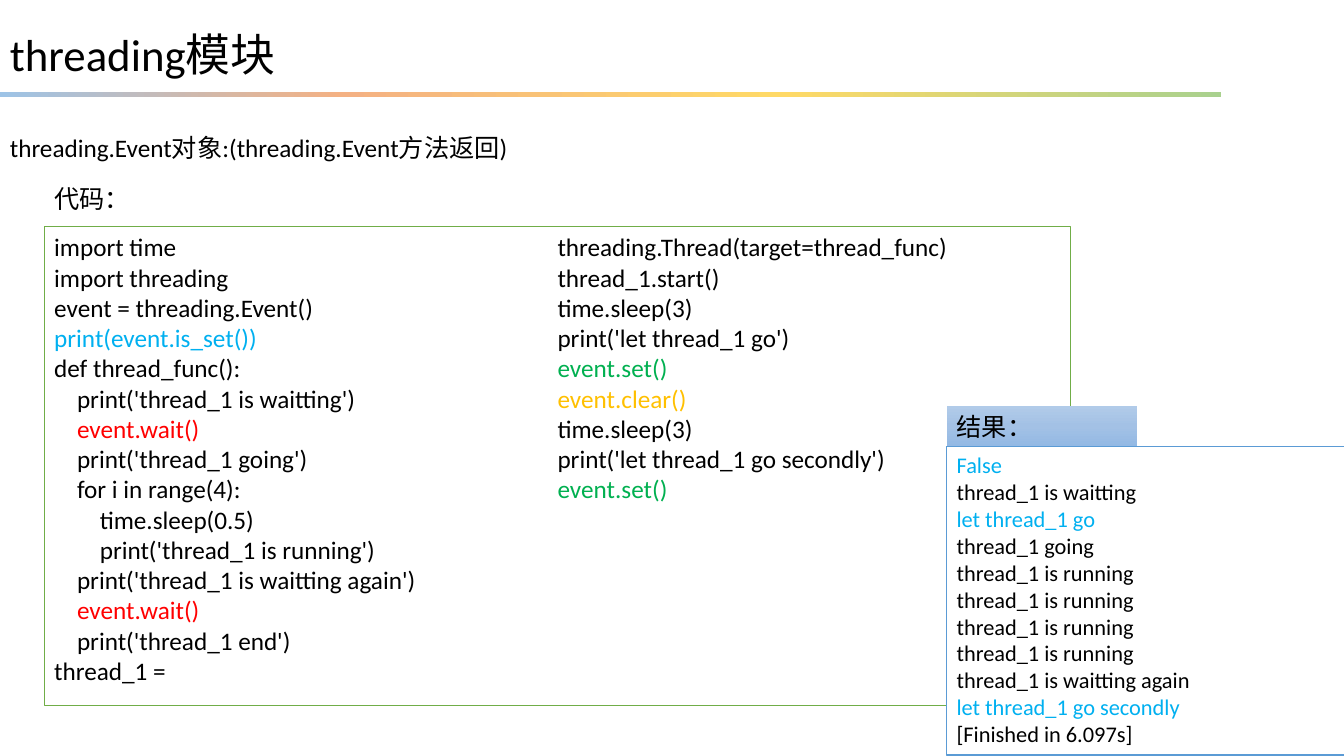
from pptx import Presentation
from pptx.dml.color import RGBColor
from pptx.enum.shapes import MSO_SHAPE
from pptx.enum.text import MSO_ANCHOR, PP_ALIGN
from pptx.oxml.ns import qn
from pptx.util import Inches, Pt
from lxml.etree import SubElement

COLORS = {
    "black": "000000", "white": "FFFFFF", "cyan": "00B0F0", "red": "FF0000",
    "green": "00B050", "gold": "FFC000", "code_line": "70AD47", "result_line": "5B9BD5",
    "bar_blue": "9DC3E6", "bar_orange": "F4B183", "bar_yellow": "FFD966", "bar_green": "A9D18E",
    "tab_top": "B1CBE9", "tab_mid": "A3C1E5", "tab_end": "93B9E4",
}
LATIN, CJK = "Calibri", "Noto Sans CJK SC"
WIDTH, HEIGHT = Inches(13.33), Inches(7.5)
LABEL_W, LABEL_H = 14.18, 5.33
LEVEL_INDENT = Inches(0.226)

BAR_STOPS = [(0, "bar_blue"), (28, "bar_orange"), (64, "bar_yellow"), (100, "bar_green")]
TAB_STOPS = [(0, "tab_top"), (50, "tab_mid"), (100, "tab_end")]

CODE = [
    (0, "import time", "black"),
    (0, "import threading", "black"),
    (0, "event = threading.Event()", "black"),
    (0, "print(event.is_set())", "cyan"),
    (0, "def thread_func():", "black"),
    (1, "print('thread_1 is waitting')", "black"),
    (1, "event.wait()", "red"),
    (1, "print('thread_1 going')", "black"),
    (1, "for i in range(4):", "black"),
    (2, "time.sleep(0.5)", "black"),
    (2, "print('thread_1 is running')", "black"),
    (1, "print('thread_1 is waitting again')", "black"),
    (1, "event.wait()", "red"),
    (1, "print('thread_1 end')", "black"),
    (0, "thread_1 = threading.Thread(target=thread_func)", "black"),
    (0, "thread_1.start()", "black"),
    (0, "time.sleep(3)", "black"),
    (0, "print('let thread_1 go')", "black"),
    (0, "event.set()", "green"),
    (0, "event.clear()", "gold"),
    (0, "time.sleep(3)", "black"),
    (0, "print('let thread_1 go secondly')", "black"),
    (0, "event.set()", "green"),
]
RESULT = [
    (0, "False", "cyan"),
    (0, "thread_1 is waitting", "black"),
    (0, "let thread_1 go", "cyan"),
    (0, "thread_1 going", "black"),
    *[(0, "thread_1 is running", "black")] * 4,
    (0, "thread_1 is waitting again", "black"),
    (0, "let thread_1 go secondly", "cyan"),
    (0, "[Finished in 6.097s]", "black"),
]


def rgb(name):
    """Return a named colour."""
    return RGBColor.from_string(COLORS[name])


def place(box):
    """Turn percentages of the slide into lengths."""
    left, top, width, height = box
    return [int(share * side / 100) for share, side in
            ((left, WIDTH), (top, HEIGHT), (width, WIDTH), (height, HEIGHT))]


def add_rect(s, box, fill=None, line=None):
    """Add a flat rectangle."""
    sp = s.shapes.add_shape(MSO_SHAPE.RECTANGLE, *place(box))
    sp.shadow.inherit = False
    if fill:
        sp.fill.solid()
        sp.fill.fore_color.rgb = rgb(fill)
    if line:
        sp.line.color.rgb = rgb(line)
        sp.line.width = Pt(1)
    else:
        sp.line.fill.background()
    return sp


def set_gradient(sp, stops, angle):
    """Fill a shape with a linear gradient, angle in clockwise degrees."""
    sp.fill.gradient()
    grad = sp.element.spPr.find(qn("a:gradFill"))
    grad.find(qn("a:lin")).set("ang", str(angle * 60000))
    gs_lst = grad.find(qn("a:gsLst"))
    for gs in list(gs_lst):
        gs_lst.remove(gs)
    for pos, name in stops:
        gs = SubElement(gs_lst, qn("a:gs"), pos=str(pos * 1000))
        SubElement(gs, qn("a:srgbClr"), val=COLORS[name])


def write(sp, lines, size, font=LATIN, columns=1):
    """Write (level, text, colour) lines into a shape."""
    tf = sp.text_frame
    tf.word_wrap = True
    tf.vertical_anchor = MSO_ANCHOR.TOP
    body = tf._txBody.bodyPr
    if columns > 1:
        body.set("numCol", str(columns))
    for i, (level, text, color) in enumerate(lines):
        p = tf.paragraphs[0] if i == 0 else tf.add_paragraph()
        p.alignment = PP_ALIGN.LEFT
        if level:
            p._p.get_or_add_pPr().set("marL", str(level * LEVEL_INDENT))
        r = p.add_run()
        r.text = text
        r.font.size = Pt(size)
        r.font.name = font
        r.font.color.rgb = rgb(color)
        SubElement(r._r.get_or_add_rPr(), qn("a:ea"), typeface=CJK)


def add_text(s, box, text, size, font=LATIN):
    """Add a one-line text box."""
    sp = s.shapes.add_textbox(*place(box))
    write(sp, [(0, text, "black")], size, font)


def add_header(s, box):
    """Add the title, the gradient bar and the subtitle."""
    left, top, width, height = box
    bar = add_rect(s, (left, top + 9.2, width, 0.67))
    set_gradient(bar, BAR_STOPS, 0)
    add_text(s, (left, top, width / 2, 8.53), "threading模块", 32)
    add_text(s, (left, top + height - LABEL_H, width / 2, LABEL_H),
             "threading.Event对象:(threading.Event方法返回)", 18)


def add_code(s, box):
    """Add the code label above its two-column panel."""
    left, top, width, height = box
    offset = LABEL_H + 1.07
    sp = add_rect(s, (left, top + offset, width, height - offset), "white", "code_line")
    write(sp, CODE, 18, columns=2)
    add_text(s, (left, top, LABEL_W, LABEL_H), "代码:".replace(":", "："), 18, CJK)


def add_result(s, box):
    """Add the result tab on top of its output panel."""
    left, top, width, height = box
    sp = add_rect(s, (left, top + LABEL_H, width, height - LABEL_H), "white", "result_line")
    write(sp, RESULT, 16)
    tab = add_rect(s, (left, top, LABEL_W, LABEL_H))
    set_gradient(tab, TAB_STOPS, 90)
    write(tab, [(0, "结果：", "black")], 18, CJK)


def main():
    """Build and save the slide."""
    prs = Presentation()
    prs.slide_width, prs.slide_height = WIDTH, HEIGHT
    s = prs.slides.add_slide(prs.slide_layouts[6])
    add_header(s, (0, 2.93, 90.85, 19.2))
    add_code(s, (3.3, 23.6, 76.37, 69.73))
    add_result(s, (70.44, 53.73, 29.6, 46.13))
    prs.save("out.pptx")


main()
